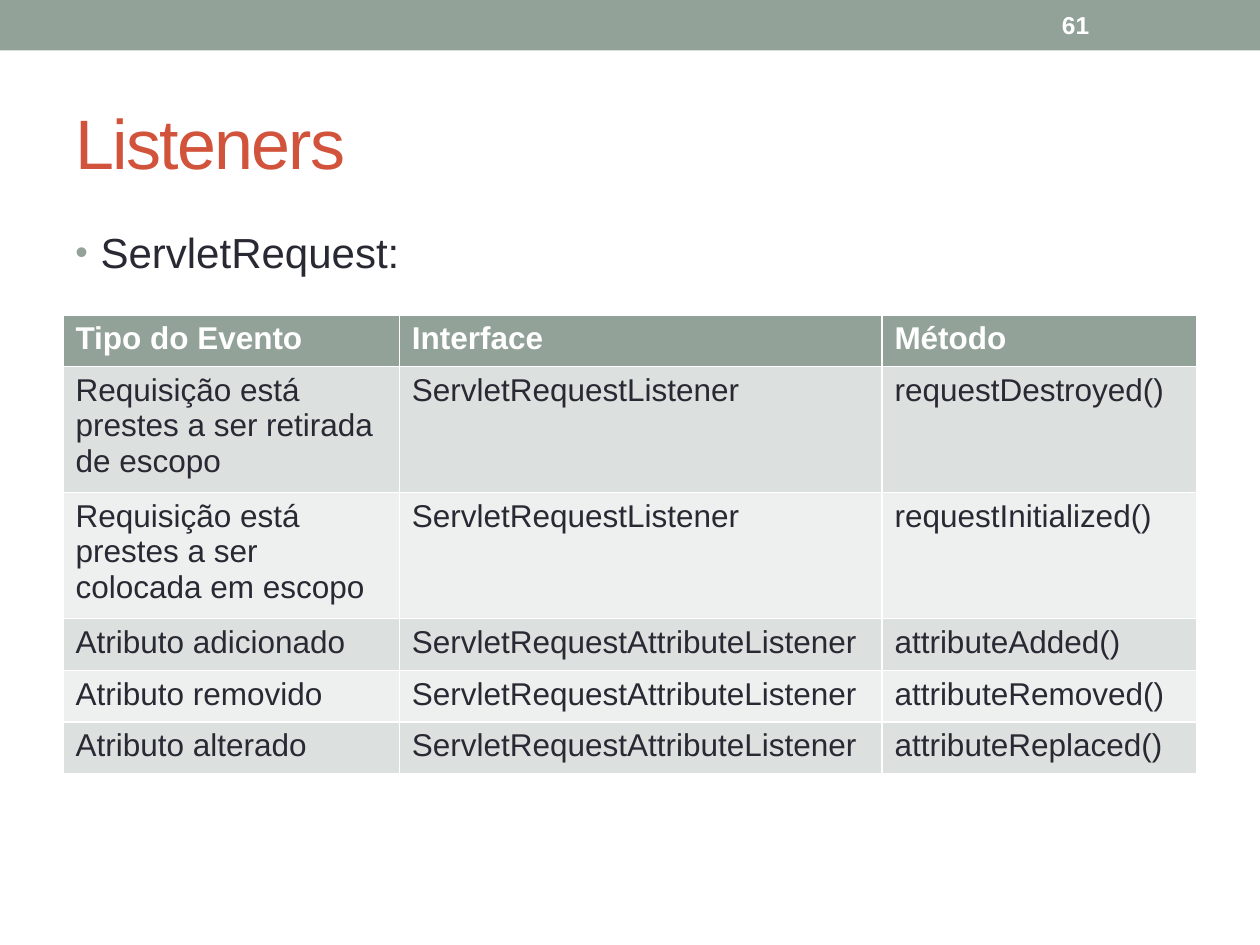
import pptx
import pptx.dml.color
import pptx.enum.shapes
import pptx.enum.text
import pptx.oxml
import pptx.oxml.ns
import pptx.util
from pptx.util import Inches, Pt

COLORS = {"sage": "93A299", "title": "D2533C", "text": "292934", "white": "FFFFFF",
          "odd_row": "DCE0DE", "even_row": "EEF0EF"}
FONT = "Arial"
TITLE = "Listeners"
TOPIC = "ServletRequest:"
SLIDE_NUMBER = "61"
HEADERS = ("Tipo do Evento", "Interface", "Método")
EVENTS = [
    ("Requisição está prestes a ser retirada de escopo",
     "ServletRequestListener", "requestDestroyed()"),
    ("Requisição está prestes a ser colocada em escopo",
     "ServletRequestListener", "requestInitialized()"),
    ("Atributo adicionado", "ServletRequestAttributeListener", "attributeAdded()"),
    ("Atributo removido", "ServletRequestAttributeListener", "attributeRemoved()"),
    ("Atributo alterado", "ServletRequestAttributeListener", "attributeReplaced()"),
]
COLUMN_WIDTHS = (2.67, 3.83, 2.5)
ROW_HEIGHT = 0.41
MARGIN, CONTENT_WIDTH = 0.5, 9


def rgb(name):
    return pptx.dml.color.RGBColor.from_string(COLORS[name])


def write(text_frame, text, size, color, bold=False):
    text_frame.text = text
    paragraph = text_frame.paragraphs[0]
    paragraph.alignment = pptx.enum.text.PP_ALIGN.LEFT
    font = paragraph.font
    font.name, font.size, font.bold = FONT, Pt(size), bold
    font.color.rgb = rgb(color)
    return paragraph


def add_text(slide, box, text, size, color, bold=False):
    text_frame = slide.shapes.add_textbox(*map(Inches, box)).text_frame
    text_frame.word_wrap = True
    return text_frame, write(text_frame, text, size, color, bold)


def add_bullet(paragraph):
    properties = paragraph._p.get_or_add_pPr()
    properties.set("marL", str(Inches(0.2)))
    properties.set("indent", str(Inches(-0.2)))
    namespace = pptx.oxml.ns.nsdecls("a")
    default_font = properties.find(pptx.oxml.ns.qn("a:defRPr"))
    for xml in (f'<a:buClr {namespace}><a:srgbClr val="{COLORS["sage"]}"/></a:buClr>',
                f'<a:buSzPct {namespace} val="85000"/>',
                f'<a:buFont {namespace} typeface="{FONT}"/>',
                f'<a:buChar {namespace} char="•"/>'):
        default_font.addprevious(pptx.oxml.parse_xml(xml))


def add_band(slide):
    band = slide.shapes.add_shape(pptx.enum.shapes.MSO_SHAPE.RECTANGLE,
                                  0, 0, Inches(10), Inches(0.4))
    band.shadow.inherit = False
    band.fill.solid()
    band.fill.fore_color.rgb = rgb("sage")
    band.line.fill.background()


def format_title(title):
    title.left, title.top, title.width, title.height = map(
        Inches, (MARGIN, 0.58, CONTENT_WIDTH, 1.08))
    title.text_frame.vertical_anchor = pptx.enum.text.MSO_ANCHOR.MIDDLE
    title.text_frame.auto_size = pptx.enum.text.MSO_AUTO_SIZE.NONE
    paragraph = write(title.text_frame, TITLE, 40, "title")
    paragraph.runs[0]._r.get_or_add_rPr().set("spc", "-100")


def add_event_table(slide):
    rows = [HEADERS] + EVENTS
    table = slide.shapes.add_table(
        len(rows), len(HEADERS), Inches(MARGIN), Inches(2.5),
        Inches(CONTENT_WIDTH), Inches(ROW_HEIGHT * len(rows))).table
    for column, width in zip(table.columns, COLUMN_WIDTHS):
        column.width = Inches(width)
    for row_index, texts in enumerate(rows):
        table.rows[row_index].height = Inches(ROW_HEIGHT)
        is_header = row_index == 0
        fill = "sage" if is_header else "odd_row" if row_index % 2 else "even_row"
        for cell, text in zip(table.rows[row_index].cells, texts):
            cell.fill.solid()
            cell.fill.fore_color.rgb = rgb(fill)
            write(cell.text_frame, text, 18, "white" if is_header else "text", is_header)


def main():
    presentation = pptx.Presentation()
    presentation.slide_width, presentation.slide_height = Inches(10), Inches(7.5)
    slide = presentation.slides.add_slide(presentation.slide_layouts[5])
    add_band(slide)
    format_title(slide.shapes.title)
    _, topic = add_text(slide, (MARGIN, 1.75, CONTENT_WIDTH, 5.33), TOPIC, 24, "text")
    topic.space_before = Pt(4.8)
    add_bullet(topic)
    number_frame, _ = add_text(slide, (8.33, 0.02, 1.17, 0.36),
                               SLIDE_NUMBER, 14, "white", bold=True)
    number_frame.vertical_anchor = pptx.enum.text.MSO_ANCHOR.MIDDLE
    add_event_table(slide)
    presentation.save("out.pptx")


if __name__ == "__main__":
    main()
